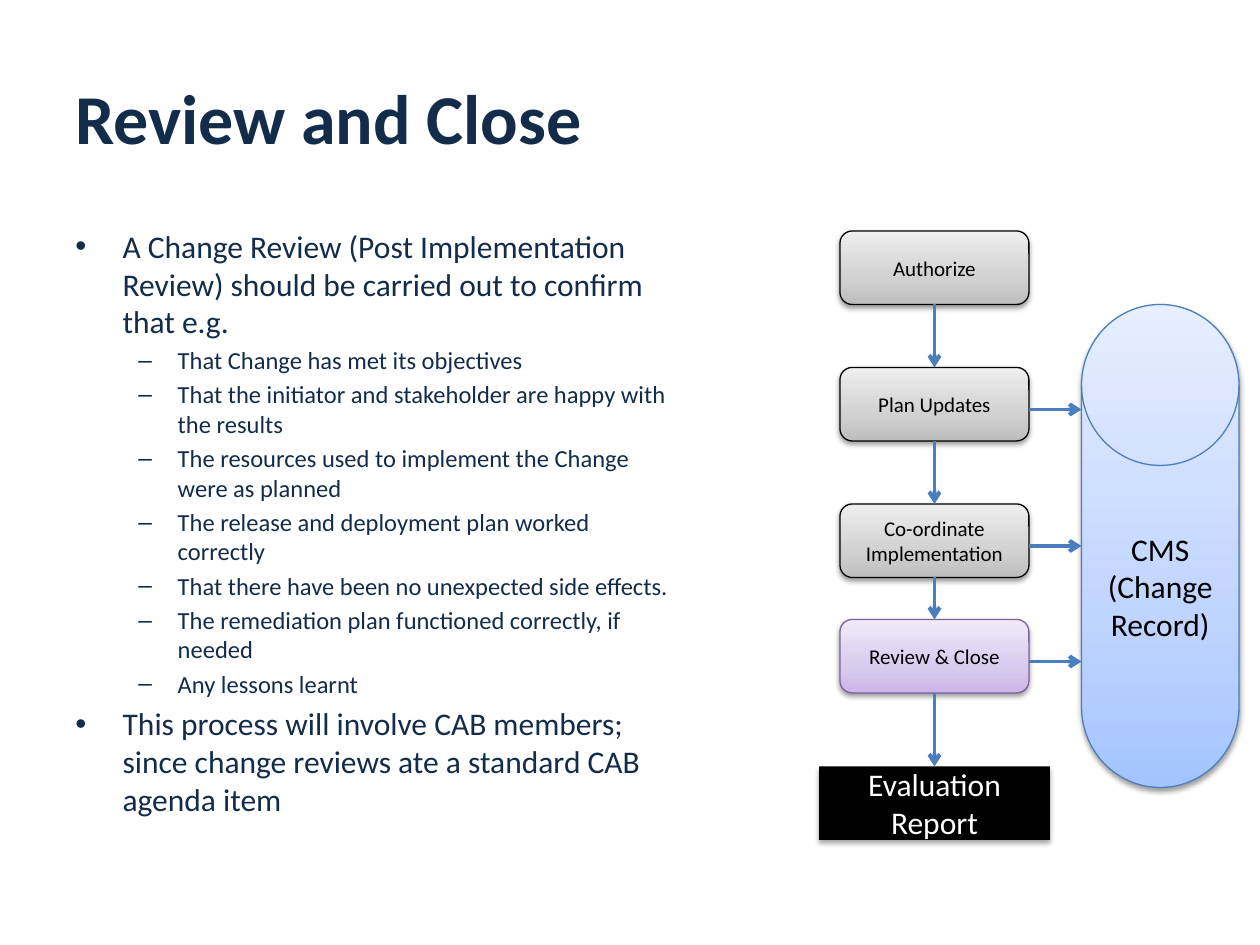
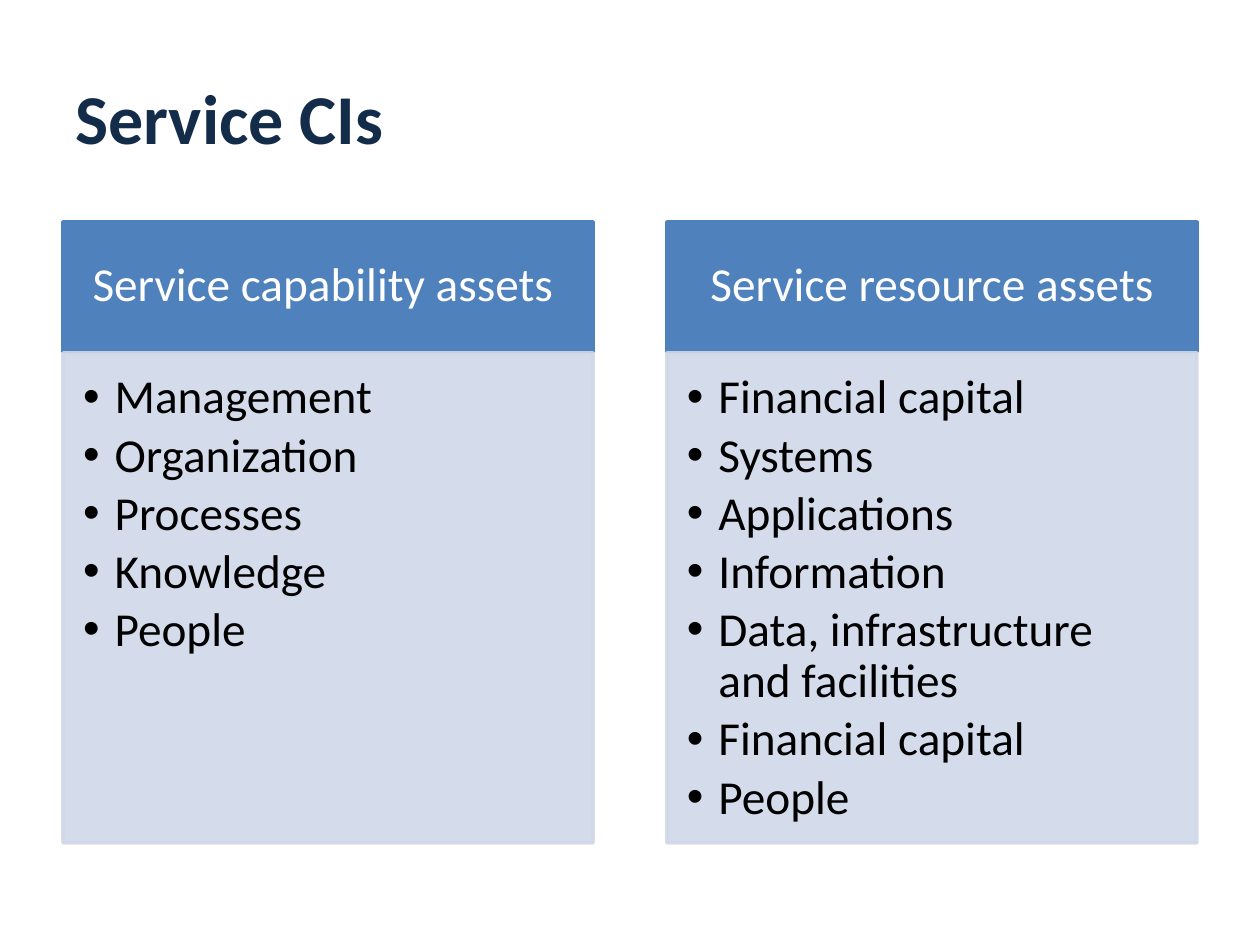
from lxml.etree import SubElement
from pptx import Presentation
from pptx.dml.color import RGBColor
from pptx.enum.shapes import MSO_CONNECTOR, MSO_SHAPE
from pptx.enum.text import MSO_ANCHOR, PP_ALIGN
from pptx.oxml.ns import qn
from pptx.util import Pt

FONT = "Calibri"
NAVY = RGBColor(0x13, 0x2C, 0x4A)
BLACK = RGBColor(0, 0, 0)
WHITE = RGBColor(0xFF, 0xFF, 0xFF)
PURPLE = RGBColor(0x7D, 0x60, 0xA0)
ARROW_BLUE = RGBColor(0x4B, 0x7E, 0xBC)
HEADER_BLUE = RGBColor(0x4F, 0x81, 0xBD)
PALE_BLUE = RGBColor(0xD0, 0xD8, 0xE8)

# Gradients run from bottom to top, with stops at 0, 35 and 100 %
GRADIENT_STOPS = (0, 35, 100)
GREY_GRADIENT = [RGBColor.from_string(c) for c in ("BDBDBD", "D1D1D1", "EEEEEE")]
PURPLE_GRADIENT = [RGBColor.from_string(c) for c in ("C9B5E8", "D8CBEE", "F0EAF9")]
BLUE_GRADIENT = [RGBColor.from_string(c) for c in ("A4C4FF", "BFD4FF", "E6EEFF")]

# Boxes: left, top, width, height in points
TITLE_BOX = (36, 21.6, 648, 90)
REVIEW_BOX = (36, 126, 354, 356)
FLOW_BOX = (468, 132, 240, 348)
ASSETS_BOX = (36, 126.7, 648, 355)

REVIEW_POINTS = [
    (0, "A Change Review (Post Implementation Review) should be carried out to confirm that e.g."),
    (1, "That Change has met its objectives"),
    (1, "That the initiator and stakeholder are happy with the results"),
    (1, "The resources used to implement the Change were as planned"),
    (1, "The release and deployment plan worked correctly"),
    (1, "That there have been no unexpected side effects."),
    (1, "The remediation plan functioned correctly, if needed"),
    (1, "Any lessons learnt"),
    (0, "This process will involve CAB members; since change reviews ate a standard CAB agenda item"),
]
# Bullet, size, text indent and hanging indent for each level
REVIEW_LEVELS = [("•", 18, 27, 27), ("–", 14, 58.5, 22.5)]

# Step, distance below the top of the flow, gradient, outline, goes to the CMS
FLOW_STEPS = [
    ("Authorize", 0, GREY_GRADIENT, BLACK, False),
    ("Plan Updates", 78, GREY_GRADIENT, BLACK, True),
    ("Co-ordinate Implementation", 156, GREY_GRADIENT, BLACK, True),
    ("Review & Close", 222, PURPLE_GRADIENT, PURPLE, True),
]

SERVICE_ASSETS = [
    ("Service capability assets ",
     ["Management", "Organization", "Processes", "Knowledge", "People"]),
    ("Service resource assets",
     ["Financial capital", "Systems", "Applications", "Information",
      "Data, infrastructure and facilities", "Financial capital", "People"]),
]


# Shared helpers
def style_runs(paragraph, size, color, bold=False):
    for run in paragraph.runs:
        run.font.name = FONT
        run.font.size = Pt(size)
        run.font.color.rgb = color
        run.font.bold = bold


def set_bullet(paragraph, char, indent, hanging):
    properties = paragraph._p.get_or_add_pPr()
    properties.set("marL", str(Pt(indent)))
    properties.set("indent", str(-Pt(hanging)))
    SubElement(properties, qn("a:buFont"), typeface="Arial")
    SubElement(properties, qn("a:buChar"), char=char)


def set_insets(frame, left, top, right, bottom):
    frame.margin_left, frame.margin_top = Pt(left), Pt(top)
    frame.margin_right, frame.margin_bottom = Pt(right), Pt(bottom)


def add_text_box(slide, box):
    frame = slide.shapes.add_textbox(*map(Pt, box)).text_frame
    frame.word_wrap = True
    return frame


def add_block(slide, kind, box, outline=None, line_width=0.75):
    block = slide.shapes.add_shape(kind, *map(Pt, box))
    block.shadow.inherit = False
    if outline is None:
        block.line.fill.background()
    else:
        block.line.color.rgb = outline
        block.line.width = Pt(line_width)
    return block


def fill_solid(block, color):
    block.fill.solid()
    block.fill.fore_color.rgb = color


def fill_gradient(block, colors):
    block.fill.gradient()
    block.fill.gradient_angle = 90
    stops = block._element.spPr.find(".//" + qn("a:gsLst"))
    stops.clear()
    for position, color in zip(GRADIENT_STOPS, colors):
        stop = SubElement(stops, qn("a:gs"), pos=str(position * 1000))
        SubElement(stop, qn("a:srgbClr"), val=str(color))


def set_opacity(block, percent):
    for color in block._element.spPr.iter(qn("a:srgbClr")):
        SubElement(color, qn("a:alpha"), val=str(percent * 1000))


def add_shadow(block, percent=38, distance=1.6):
    effects = block._element.spPr.find(qn("a:effectLst"))
    shadow = SubElement(effects, qn("a:outerShdw"), blurRad=str(Pt(3.1)),
                        dist=str(Pt(distance)), dir="5400000", rotWithShape="0")
    color = SubElement(shadow, qn("a:srgbClr"), val=str(BLACK))
    SubElement(color, qn("a:alpha"), val=str(percent * 1000))


def write_centred(block, text, size, color):
    frame = block.text_frame
    frame.word_wrap = True
    frame.vertical_anchor = MSO_ANCHOR.MIDDLE
    frame.text = text
    for paragraph in frame.paragraphs:
        paragraph.alignment = PP_ALIGN.CENTER
        style_runs(paragraph, size, color)


def add_arrow(slide, start, end):
    arrow = slide.shapes.add_connector(MSO_CONNECTOR.STRAIGHT, *map(Pt, start + end))
    arrow.line.color.rgb = ARROW_BLUE
    arrow.line.width = Pt(2.25)
    SubElement(arrow.line._get_or_add_ln(), qn("a:tailEnd"), type="arrow")
    SubElement(arrow._element.spPr, qn("a:effectLst"))


def add_titled_slide(deck, title):
    slide = deck.slides.add_slide(deck.slide_layouts[6])
    frame = add_text_box(slide, TITLE_BOX)
    frame.vertical_anchor = MSO_ANCHOR.MIDDLE
    frame.text = title
    style_runs(frame.paragraphs[0], 40, NAVY, bold=True)
    return slide


# Slide regions
def add_review_points(slide, box):
    frame = add_text_box(slide, box)
    frame.text = "\n".join(text for _, text in REVIEW_POINTS)
    for index, (level, _) in enumerate(REVIEW_POINTS):
        paragraph = frame.paragraphs[index]
        char, size, indent, hanging = REVIEW_LEVELS[level]
        paragraph.level = level
        set_bullet(paragraph, char, indent, hanging)
        if index:
            paragraph.space_before = Pt(0.2 * size)
        style_runs(paragraph, size, NAVY)


def add_change_flow(slide, box):
    left, top, width, height = box
    step_left, step_width, step_height = left + 12, 108, 42
    step_middle = step_left + step_width / 2
    cms_width = 90
    cms_left = left + width - cms_width

    # Change record store
    cms = add_block(slide, MSO_SHAPE.FLOWCHART_MAGNETIC_DISK,
                    (cms_left, top + 42, cms_width, 276), ARROW_BLUE)
    fill_gradient(cms, BLUE_GRADIENT)
    add_shadow(cms)
    write_centred(cms, "CMS\n(Change Record)", 18, BLACK)

    # Process steps and their links to the store
    for name, offset, gradient, outline, updates_cms in FLOW_STEPS:
        step_top = top + offset
        step = add_block(slide, MSO_SHAPE.ROUNDED_RECTANGLE,
                         (step_left, step_top, step_width, step_height), outline)
        fill_gradient(step, gradient)
        add_shadow(step)
        write_centred(step, name, 12, BLACK)
        if updates_cms:
            link_y = step_top + 24
            add_arrow(slide, (step_left + step_width, link_y), (cms_left, link_y))

    # Final report
    report_top = top + height - step_height
    report = add_block(slide, MSO_SHAPE.RECTANGLE, (left, report_top, 132, step_height))
    fill_solid(report, BLACK)
    add_shadow(report, 35, 1.8)
    write_centred(report, "Evaluation Report", 18, WHITE)

    # Arrows from each step to the next
    tops = [top + step[1] for step in FLOW_STEPS] + [report_top]
    for upper, lower in zip(tops, tops[1:]):
        add_arrow(slide, (step_middle, upper + step_height), (step_middle, lower))


def add_asset_column(slide, box, heading, assets):
    left, top, width, height = box
    heading_height, list_offset = 74.2, 74.9

    header = add_block(slide, MSO_SHAPE.RECTANGLE,
                       (left, top, width, heading_height), HEADER_BLUE, 2)
    fill_solid(header, HEADER_BLUE)
    write_centred(header, heading, 27, WHITE)
    set_insets(header.text_frame, 15, 8.6, 15, 8.6)
    header.text_frame.paragraphs[0].line_spacing = 0.9

    panel = add_block(slide, MSO_SHAPE.RECTANGLE,
                      (left, top + list_offset, width, height - list_offset), PALE_BLUE, 2)
    fill_solid(panel, PALE_BLUE)
    set_opacity(panel, 90)
    frame = panel.text_frame
    frame.word_wrap = True
    frame.vertical_anchor = MSO_ANCHOR.TOP
    set_insets(frame, 11.5, 11.5, 15, 17.3)
    frame.text = "\n".join(assets)
    for paragraph in frame.paragraphs:
        paragraph.alignment = PP_ALIGN.LEFT
        paragraph.level = 1
        set_bullet(paragraph, "•", 18, 18)
        paragraph.line_spacing = 0.9
        paragraph.space_after = Pt(4.05)
        style_runs(paragraph, 27, BLACK)


def add_asset_columns(slide, box):
    left, top, width, height = box
    gap = 42
    column_width = (width - gap) / 2
    for index, (heading, assets) in enumerate(SERVICE_ASSETS):
        column_left = left + index * (column_width + gap)
        add_asset_column(slide, (column_left, top, column_width, height), heading, assets)


def main():
    deck = Presentation()
    deck.slide_width, deck.slide_height = Pt(720), Pt(540)

    review = add_titled_slide(deck, "Review and Close")
    add_review_points(review, REVIEW_BOX)
    add_change_flow(review, FLOW_BOX)

    service = add_titled_slide(deck, "Service CIs")
    add_asset_columns(service, ASSETS_BOX)

    deck.save("out.pptx")


if __name__ == "__main__":
    main()
